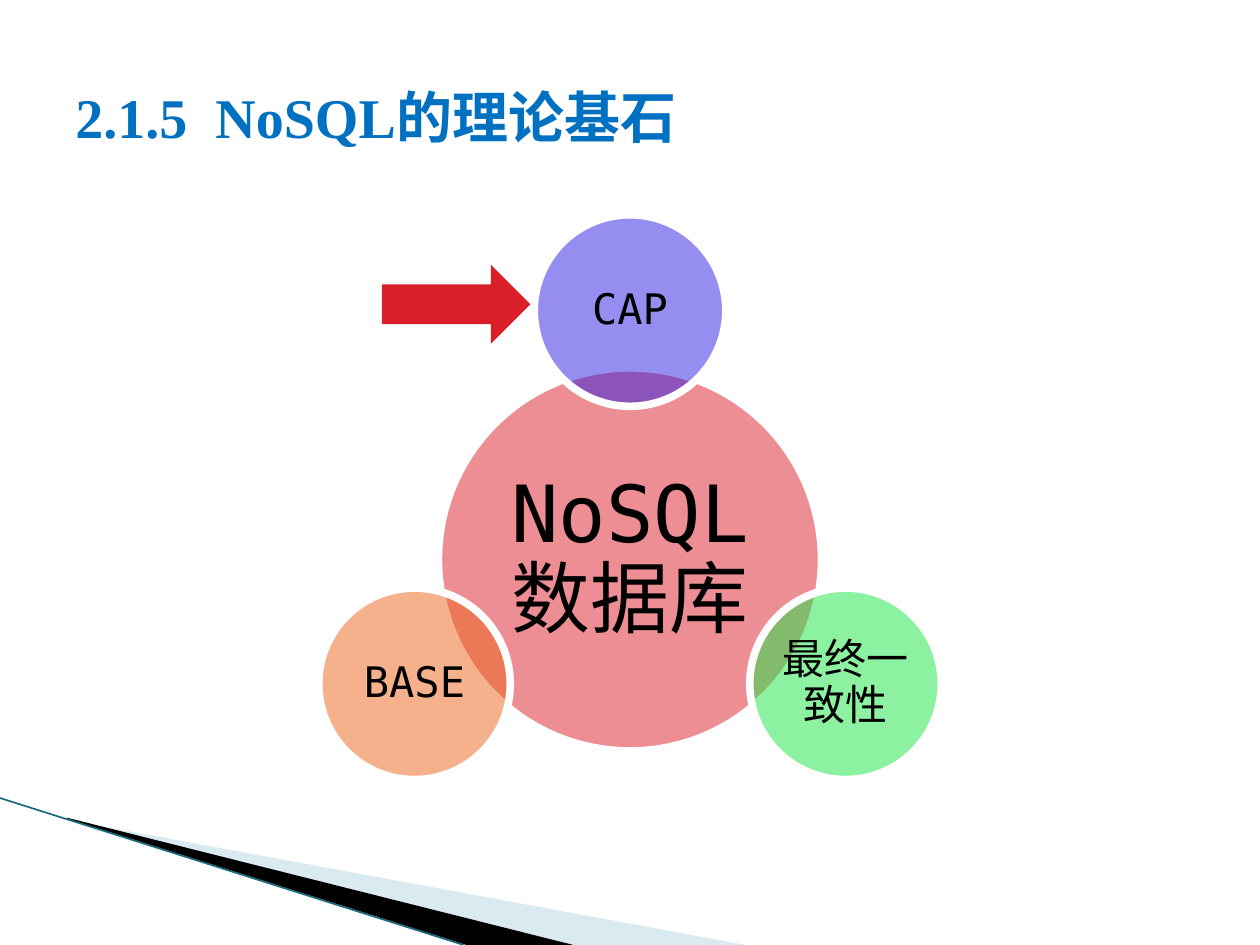
from math import cos, radians, sin

from lxml.etree import SubElement
from pptx import Presentation
from pptx.dml.color import RGBColor
from pptx.enum.shapes import MSO_CONNECTOR as CONN, MSO_SHAPE as SHAPE
from pptx.enum.text import MSO_ANCHOR as ANCHOR, PP_ALIGN as ALIGN
from pptx.oxml.ns import qn
from pptx.util import Inches, Pt

COLORS = {
    "title": "0070C0", "text": "000000", "ring": "FFFFFF",
    "hub": "DA1F28", "cap": "2D1CE1", "eventual": "1BE747", "base": "EB641B",
    "pale": "A0CBDC", "dark": "000000", "edge": "1B6B7F",
}
TITLE = "2.1.5  NoSQL的理论基石"
HUB = "NoSQL数据库"
SATELLITES = [("CAP", "cap", -90), ("最终一致性", "eventual", 30), ("BASE", "base", 150)]

# All places are percentages of the slide's width and height.
TITLE_BOX = (5, 4, 88.3, 16.67)
ARROW_BOX = (30.3, 28, 11.8, 8.4)
WEDGES = [
    ("pale", 40, [(5.5, 86.8), (59.2, 100), (45.6, 100), (5.5, 86.67)]),
    ("dark", 100, [(5.3, 86.53), (45.5, 100), (37, 100), (5.4, 86.67)]),
]
EDGE = [(0, 84.45), (36.8, 100)]
CENTER = (50, 59.2)
HUB_SIZE, SATELLITE_SIZE, ORBIT = 30.4, 15.2, 19.75

prs = Presentation()
prs.slide_width, prs.slide_height = Inches(10), Inches(7.5)
slide = prs.slides.add_slide(prs.slide_layouts[6])
shapes = slide.shapes


def px(share):
    return round(prs.slide_width * share / 100)


def py(share):
    return round(prs.slide_height * share / 100)


def place(box):
    left, top, width, height = box
    return px(left), py(top), px(width), py(height)


def paint(sp, color, opacity=100):
    sp.shadow.inherit = False
    sp.line.fill.background()
    sp.fill.solid()
    sp.fill.fore_color.rgb = RGBColor.from_string(COLORS[color])
    if opacity < 100:
        rgb = sp.fill._xPr.find(qn("a:solidFill")).find(qn("a:srgbClr"))
        SubElement(rgb, qn("a:alpha")).set("val", str(opacity * 1000))


def write(sp, text, size, font, color, bold=False):
    tf = sp.text_frame
    tf.word_wrap = True
    tf.vertical_anchor = ANCHOR.MIDDLE
    p = tf.paragraphs[0]
    p.text = text
    for r in p.runs:
        r.font.size, r.font.name, r.font.bold = Pt(size), font, bold
        r.font.color.rgb = RGBColor.from_string(COLORS[color])
    return tf


def add_circle(cx, cy, diameter, color, text, size, inset):
    sp = shapes.add_shape(SHAPE.OVAL, cx - diameter // 2, cy - diameter // 2, diameter, diameter)
    paint(sp, color, 50)
    sp.line.color.rgb = RGBColor.from_string(COLORS["ring"])
    sp.line.width = Pt(4.33)
    tf = write(sp, text, size, "DejaVu Sans Mono", "text")
    tf.margin_left = tf.margin_right = tf.margin_top = tf.margin_bottom = Inches(inset)
    tf.paragraphs[0].alignment = ALIGN.CENTER
    tf.paragraphs[0].line_spacing = 0.9


for color, opacity, points in WEDGES:
    start, *rest = [(px(x), py(y)) for x, y in points]
    builder = shapes.build_freeform(*start)
    builder.add_line_segments(rest, close=True)
    paint(builder.convert_to_shape(), color, opacity)

(x1, y1), (x2, y2) = EDGE
edge = shapes.add_connector(CONN.STRAIGHT, px(x1), py(y1), px(x2), py(y2))
edge.line.color.rgb = RGBColor.from_string(COLORS["edge"])
edge.line.width = Pt(0.95)
SubElement(edge._element.spPr, qn("a:effectLst"))

cx, cy = px(CENTER[0]), py(CENTER[1])
add_circle(cx, cy, px(HUB_SIZE), "hub", HUB, 45, 0.06)
for text, color, angle in SATELLITES:
    x = cx + round(px(ORBIT) * cos(radians(angle)))
    y = cy + round(px(ORBIT) * sin(radians(angle)))
    add_circle(x, y, px(SATELLITE_SIZE), color, text, 24, 0.03)

title = shapes.add_textbox(*place(TITLE_BOX))
write(title, TITLE, 32, "Times New Roman", "title", bold=True)

arrow = shapes.add_shape(SHAPE.RIGHT_ARROW, *place(ARROW_BOX))
paint(arrow, "hub")

prs.save("out.pptx")
